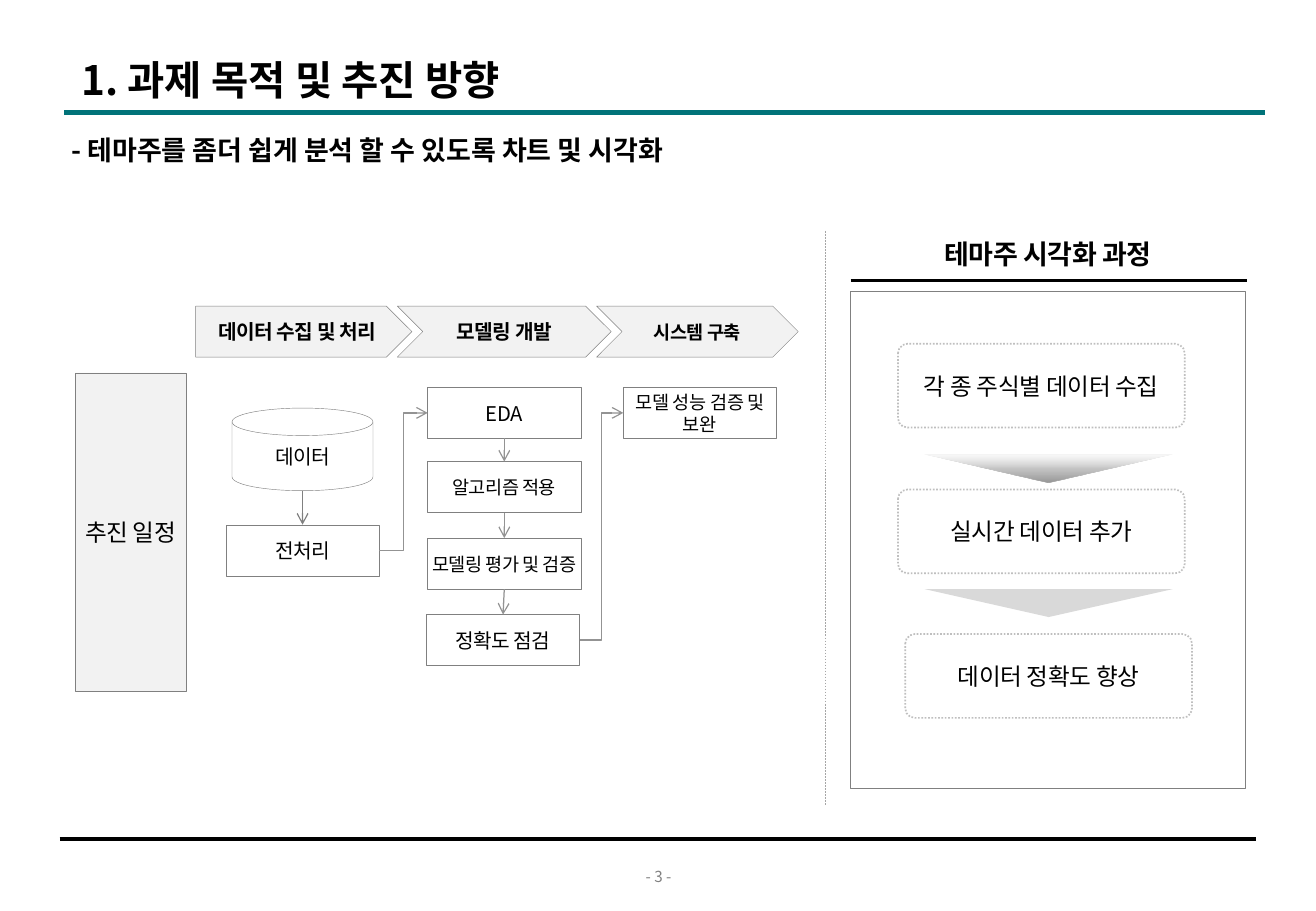
from lxml import etree
from pptx import Presentation, util as u
from pptx.dml.color import RGBColor
from pptx.enum import dml, shapes, text
from pptx.oxml import ns, parse_xml

FONT = "Noto Sans CJK KR"
HUE = {"ink": "000000", "teal": "017379", "edge": "808080", "link": "939393",
       "rule": "A6A6A6", "dots": "BFBFBF", "pale": "F2F2F2", "grey": "D9D9D9",
       "white": "FFFFFF"}
KIND, LINK = shapes.MSO_SHAPE, shapes.MSO_CONNECTOR
DASH, SIDE, MID = dml.MSO_LINE, text.PP_ALIGN, text.MSO_ANCHOR
CELL = u.Inches(0.1)  # one column or row of the slide grid

deck = Presentation()
deck.slide_width, deck.slide_height = u.Inches(10.83), u.Inches(7.5)
page = deck.slides.add_slide(deck.slide_layouts[5])


def grid(*cells):
    """Turn columns and rows into slide lengths."""
    return [round(cell * CELL) for cell in cells]


def write(shape, words, size=12, bold=False, hue="ink", side=SIDE.CENTER,
          mid=MID.MIDDLE, pad=(0, 0), gap=0, lead=None, dent=0):
    frame = shape.text_frame
    frame.word_wrap, frame.vertical_anchor = True, mid
    frame.auto_size = text.MSO_AUTO_SIZE.NONE
    frame.margin_left = frame.margin_right = round(pad[0] * CELL)
    frame.margin_top = frame.margin_bottom = round(pad[1] * CELL)
    para = frame.paragraphs[0]
    para.alignment, para.line_spacing = side, lead
    para._p.get_or_add_pPr().set("marL", str(round(dent * CELL)))
    para._p.pPr.set("indent", "0")
    run = para.add_run()
    run.text = words
    font = run.font
    font.name, font.size, font.bold = FONT, u.Pt(size), bold
    font.color.rgb = RGBColor.from_string(HUE[hue])
    etree.SubElement(font._element, ns.qn("a:ea"), typeface=FONT)
    font._element.set("spc", str(round(gap * 100)))


# Heading, subtitle, panel heading and page number
head = page.shapes.title
head.left, head.top, head.width, head.height = grid(5.7, 4, 96.9, 5.1)
write(head, "1. 과제 목적 및 추진 방향", size=24, bold=True, side=SIDE.LEFT, pad=(1, 0.5))

notes = [
    ((4.7, 9.7, 98.3, 8.2), "- 테마주를 좀더 쉽게 분석 할 수 있도록 차트 및 시각화",
     dict(size=16, bold=True, side=SIDE.LEFT, mid=MID.TOP, lead=1.5, dent=1.2)),
    ((70, 18.8, 32.5, 4.2), "테마주 시각화 과정", dict(size=16, bold=True, gap=-0.2)),
    ((49.5, 70.9, 9.4, 2.4), "- 3 -", dict(size=9, hue="edge", pad=(0.9, 0.5), mid=MID.TOP)),
]
for spot, words, look in notes:
    write(page.shapes.add_textbox(*grid(*spot)), words, **look)

# Shapes: kind, place, fill, words, text format
parts = [
    (KIND.RECTANGLE, (70, 24, 32.5, 40.9), None, "", {}),
    (KIND.RECTANGLE, (6.2, 30.7, 9.1, 26.2), "pale", "추진 일정", dict(size=14, gap=-0.3)),
    (KIND.FLOWCHART_MAGNETIC_DISK, (19.1, 33.6, 11.6, 6.8), "white", "데이터", dict(gap=-0.3)),
]
stages = [
    (KIND.PENTAGON, 16.1, 17.8, "데이터 수집 및 처리", 12),
    (KIND.CHEVRON, 32.7, 17.6, "모델링 개발", 12),
    (KIND.CHEVRON, 49.1, 16.6, "시스템 구축", 11),
]
for kind, col, wide, words, size in stages:
    parts.append((kind, (col, 25.2, wide, 4.2), "pale", words,
                  dict(size=size, bold=True, gap=-0.3)))
steps = [
    (18.6, 43.2, "전처리", 12, -0.3),
    (35.2, 31.9, "EDA", 12, -0.3),
    (35.2, 38, "알고리즘 적용", 11, -0.3),
    (35.2, 44.3, "모델링 평가 및 검증", 11, -0.3),
    (35.1, 50.6, "정확도 점검", 12, -0.3),
    (51.3, 31.9, "모델 성능 검증 및 보완", 11, -0.2),
]
for col, row, words, size, gap in steps:
    parts.append((KIND.RECTANGLE, (col, row, 12.6, 4.2), "white", words,
                  dict(size=size, gap=gap)))
cards = [(73.9, 28.3, "각 종 주식별 데이터 수집"), (73.9, 40.3, "실시간 데이터 추가"),
         (74.5, 52.2, "데이터 정확도 향상")]
for col, row, words in cards:
    parts.append((KIND.ROUNDED_RECTANGLE, (col, row, 23.6, 6.9), "white", words,
                  dict(size=14, gap=-0.2)))
for row in (37.4, 48.5):
    parts.append((KIND.ISOSCELES_TRIANGLE, (76.1, row, 20.4, 2.3), "grey", "", {}))

for kind, spot, fill, words, look in parts:
    item = page.shapes.add_shape(kind, *grid(*spot))
    item.shadow.inherit = False
    if fill:
        item.fill.solid()
        item.fill.fore_color.rgb = RGBColor.from_string(HUE[fill])
    else:
        item.fill.background()
    edge = item.line
    if kind == KIND.ISOSCELES_TRIANGLE:
        item.rotation = 180
        edge.fill.background()
    else:
        card = kind == KIND.ROUNDED_RECTANGLE
        edge.color.rgb = RGBColor.from_string(HUE["dots" if card else "edge"])
        edge.width = u.Pt(1 if card else 0.25)
        if card:
            item.adjustments[0] = 0.114
            edge.dash_style = DASH.ROUND_DOT
    if words:
        write(item, words, **look)
    if spot[1] == 37.4:
        stops = "".join(
            f'<a:gs pos="{pos}000"><a:srgbClr val="{tint}"><a:alpha val="{alpha}000"/>'
            "</a:srgbClr></a:gs>"
            for pos, tint, alpha in [(0, "969696", 100), (50, "B7B7B7", 80),
                                     (100, HUE["grey"], 15)])
        fade = parse_xml(f'<a:gradFill {ns.nsdecls("a")} rotWithShape="1"><a:gsLst>{stops}'
                         '</a:gsLst><a:lin ang="5400000" scaled="0"/></a:gradFill>')
        solid = item._element.spPr.find(ns.qn("a:solidFill"))
        item._element.spPr.replace(solid, fade)

# Lines: kind, ends, colour, width, dash, arrow
lines = [
    (LINK.STRAIGHT, (5.3, 9.3, 104.1, 9.3), "teal", 3, None, False),
    (LINK.STRAIGHT, (4.9, 69.1, 103.4, 69.1), "ink", 2.25, None, False),
    (LINK.STRAIGHT, (70, 23.1, 102.6, 23.1), "ink", 1.5, None, False),
    (LINK.STRAIGHT, (67.9, 19, 67.9, 66.3), "rule", 0.25, DASH.DASH, False),
    (LINK.STRAIGHT, (24.9, 40.4, 24.9, 43.2), "edge", 0.75, None, True),
    (LINK.ELBOW, (31.2, 45.3, 35.2, 34), "link", 0.75, None, True),
    (LINK.ELBOW, (47.7, 52.7, 51.3, 34), "link", 0.75, None, True),
    (LINK.STRAIGHT, (41.5, 36.1, 41.5, 38), "link", 0.75, None, True),
    (LINK.STRAIGHT, (41.5, 42.2, 41.5, 44.3), "link", 0.75, None, True),
    (LINK.STRAIGHT, (41.5, 48.5, 41.4, 50.6), "link", 0.75, None, True),
]
for kind, ends, hue, wide, dash, arrow in lines:
    wire = page.shapes.add_connector(kind, *grid(*ends))
    wire.line.color.rgb = RGBColor.from_string(HUE[hue])
    wire.line.width = u.Pt(wide)
    if dash:
        wire.line.dash_style = dash
    if arrow:
        etree.SubElement(wire.line._get_or_add_ln(), ns.qn("a:tailEnd"), type="arrow")
    etree.SubElement(wire._element.spPr, ns.qn("a:effectLst"))

deck.save("out.pptx")
